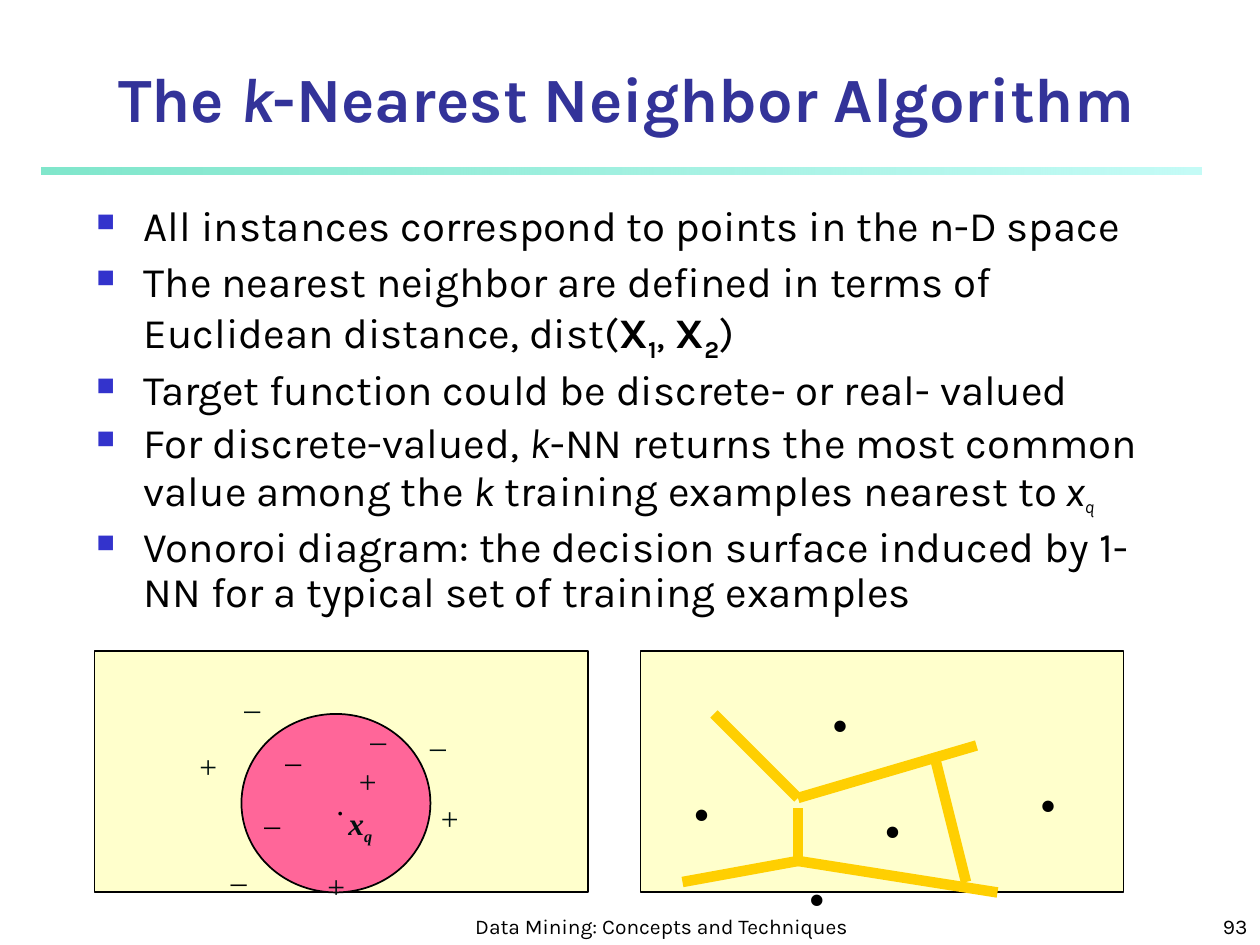
from dataclasses import dataclass

from lxml.etree import SubElement
from pptx import Presentation
from pptx.dml.color import RGBColor
from pptx.enum.shapes import MSO_CONNECTOR as Connector, MSO_SHAPE as Shape
from pptx.enum.text import MSO_ANCHOR as Anchor, MSO_AUTO_SIZE as AutoSize, PP_ALIGN as Align
from pptx.oxml.ns import qn
from pptx.util import Emu, Pt

EMU_PER_PX = 7620  # 120 px to the inch


def px(length):
    return Emu(length * EMU_PER_PX)


@dataclass(frozen=True)
class Theme:
    body_font: str = "Karla"
    diagram_font: str = "Times New Roman"
    text: str = "000000"
    mark: str = "001010"
    title: str = "333399"
    bullet: str = "3333CC"
    panel: str = "FFFFCC"
    neighborhood: str = "FF6699"
    boundary: str = "FFCF01"
    rule_start: str = "00CE98"
    rule_end: str = "8FF9EF"
    title_size: int = 36
    body_size: int = 24
    gap_size: int = 20
    diagram_size: int = 18
    query_sub_size: int = 16
    footer_size: int = 12
    point_size: int = 40


class SlideBuilder:
    def __init__(self, slide, theme):
        self.slide = slide
        self.theme = theme

    def add_runs(self, paragraph, runs, size, color, font, bold=None, italic=None):
        """Fill a paragraph from (text, overrides) pairs or one plain string."""
        base = paragraph.font
        base.name, base.size, base.bold, base.italic = font, Pt(size), bold, italic
        base.color.rgb = RGBColor.from_string(color)
        for text, style in [(runs, {})] if isinstance(runs, str) else runs:
            run = paragraph.add_run()
            run.text = text
            if "size" in style:
                run.font.size = Pt(style["size"])
            if "bold" in style:
                run.font.bold = style["bold"]
            if "italic" in style:
                run.font.italic = style["italic"]
            if style.get("sub"):
                run.font._element.set("baseline", "-25000")

    def text(self, box, runs, size, color, font, align=Align.LEFT,
             anchor=Anchor.TOP, wrap=True, **style):
        frame = self.slide.shapes.add_textbox(*map(px, box)).text_frame
        frame.word_wrap = wrap
        frame.auto_size = AutoSize.NONE if wrap else AutoSize.SHAPE_TO_FIT_TEXT
        frame.vertical_anchor = anchor
        frame.paragraphs[0].alignment = align
        self.add_runs(frame.paragraphs[0], runs, size, color, font, **style)

    def label(self, box, runs, color, size=None, **style):
        """Place an unwrapped diagram label."""
        self.text(box, runs, size or self.theme.diagram_size, color,
                  self.theme.diagram_font, wrap=False, **style)

    def bullets(self, box, items):
        frame = self.slide.shapes.add_textbox(*map(px, box)).text_frame
        frame.word_wrap = True
        for index, (space_before, runs) in enumerate(items):
            paragraph = frame.add_paragraph() if index else frame.paragraphs[0]
            paragraph.line_spacing = 0.9
            paragraph.space_before = Pt(space_before)
            properties = paragraph._p.get_or_add_pPr()
            properties.set("marL", str(px(45)))
            properties.set("indent", str(px(-45)))
            bullet_color = SubElement(properties, qn("a:buClr"))
            SubElement(bullet_color, qn("a:srgbClr"), val=self.theme.bullet)
            SubElement(properties, qn("a:buSzPct"), val="60000")
            SubElement(properties, qn("a:buChar"), char="■")
            self.add_runs(paragraph, runs, self.theme.body_size, self.theme.text,
                          self.theme.body_font)

    def shape(self, kind, box, fill):
        shape = self.slide.shapes.add_shape(kind, *map(px, box))
        shape.shadow.inherit = False
        shape.fill.solid()
        shape.fill.fore_color.rgb = RGBColor.from_string(fill)
        shape.line.color.rgb = RGBColor.from_string(self.theme.text)
        shape.line.width = Pt(1)
        return shape

    def gradient_rule(self, box):
        rule = self.shape(Shape.RECTANGLE, box, self.theme.rule_start)
        rule.line.fill.background()
        rule.fill.gradient()
        rule.fill.gradient_angle = 0
        colors = (self.theme.rule_start, self.theme.rule_end)
        for stop, color in zip(rule.fill.gradient_stops, colors):
            stop.color.rgb = RGBColor.from_string(color)
        for color, alpha in zip(rule._element.spPr.iter(qn("a:srgbClr")), (50000, 52000)):
            SubElement(color, qn("a:alpha"), val=str(alpha))

    def line(self, start, end):
        line = self.slide.shapes.add_connector(Connector.STRAIGHT, *map(px, start + end))
        line.line.color.rgb = RGBColor.from_string(self.theme.boundary)
        line.line.width = Pt(6)
        SubElement(line._element.spPr, qn("a:effectLst"))


def add_heading_and_footer(builder, theme):
    builder.gradient_rule((40, 160, 1104, 6))
    footer = dict(size=theme.footer_size, color=theme.text, font=theme.body_font,
                  anchor=Anchor.BOTTOM)
    builder.text((440, 850, 380, 50), "Data Mining: Concepts and Techniques",
                 align=Align.CENTER, **footer)
    builder.text((950, 850, 250, 50), "93", align=Align.RIGHT, **footer)
    title = [("The ", {}), ("k", {"italic": True}), ("-Nearest Neighbor Algorithm", {})]
    builder.text((60, 66, 1073, 53), title, theme.title_size, theme.title, theme.body_font,
                 align=Align.CENTER, anchor=Anchor.MIDDLE, bold=True)


def add_points(builder, theme):
    italic, bold = {"italic": True}, {"bold": True}
    bold_sub = {"bold": True, "sub": True}
    builder.bullets((80, 190, 1040, 670), [
        (6, "All instances correspond to points in the n-D space"),
        (6, [("The nearest neighbor are defined in terms of Euclidean distance, dist(", {}),
             ("X", bold), ("1", bold_sub), (", ", {}), ("X", bold), ("2", bold_sub), (")", {})]),
        (6, "Target function could be discrete- or real- valued"),
        (4.5, [("For discrete-valued, ", {}), ("k", italic),
               ("-NN returns the most common value among the ", {}), ("k", italic),
               (" training examples nearest to", {}), (" ", {"size": theme.gap_size}),
               ("x", italic),
               ("q", {"italic": True, "sub": True, "size": theme.diagram_size})]),
        (6, "Vonoroi diagram: the decision surface induced by 1-NN for a typical set "
            "of training examples"),
    ])


def add_neighborhood(builder, theme):
    builder.shape(Shape.RECTANGLE, (90, 620, 470, 230), theme.panel)
    circle = builder.shape(Shape.OVAL, (230, 680, 180, 170), theme.neighborhood)
    center = circle.text_frame
    center.word_wrap = False
    center.vertical_anchor = Anchor.MIDDLE
    center.margin_left = px(20)
    center.paragraphs[0].alignment = Align.CENTER
    builder.add_runs(center.paragraphs[0], ".", theme.diagram_size, theme.text,
                     theme.diagram_font)

    marks = [
        ("_", 38, theme.text, [(260, 690), (240, 750), (208, 805)]),
        ("_", 38, theme.mark, [(341, 670), (398, 676), (221, 640)]),
        ("+", 41, theme.mark, [(330, 720), (300, 820), (178, 706), (408, 755)]),
    ]
    for sign, width, color, places in marks:
        for left, top in places:
            builder.label((left, top, width, 48), sign, color)
    query = [("x", {}), ("q", {"sub": True, "size": theme.query_sub_size})]
    builder.label((320, 760, 47, 52), query, theme.mark, bold=True, italic=True)


def add_voronoi(builder, theme):
    builder.shape(Shape.RECTANGLE, (610, 620, 460, 230), theme.panel)
    upper, lower = (760, 760), (760, 820)
    boundaries = [
        ((680, 680), upper),
        (upper, (930, 710)),
        ((760, 770), lower),
        (lower, (950, 850)),
        (lower, (650, 840)),
        ((890, 720), (920, 840)),
    ]
    for start, end in boundaries:
        builder.line(start, end)
    for left, top in [(780, 624), (830, 725), (758, 790), (648, 709), (978, 700)]:
        builder.label((left, top, 41, 92), ".", theme.text, size=theme.point_size, bold=True)


def main():
    deck = Presentation()
    deck.slide_width, deck.slide_height = px(1200), px(900)
    theme = Theme()
    builder = SlideBuilder(deck.slides.add_slide(deck.slide_layouts[6]), theme)
    add_heading_and_footer(builder, theme)
    add_points(builder, theme)
    add_neighborhood(builder, theme)
    add_voronoi(builder, theme)
    deck.save("out.pptx")


if __name__ == "__main__":
    main()
